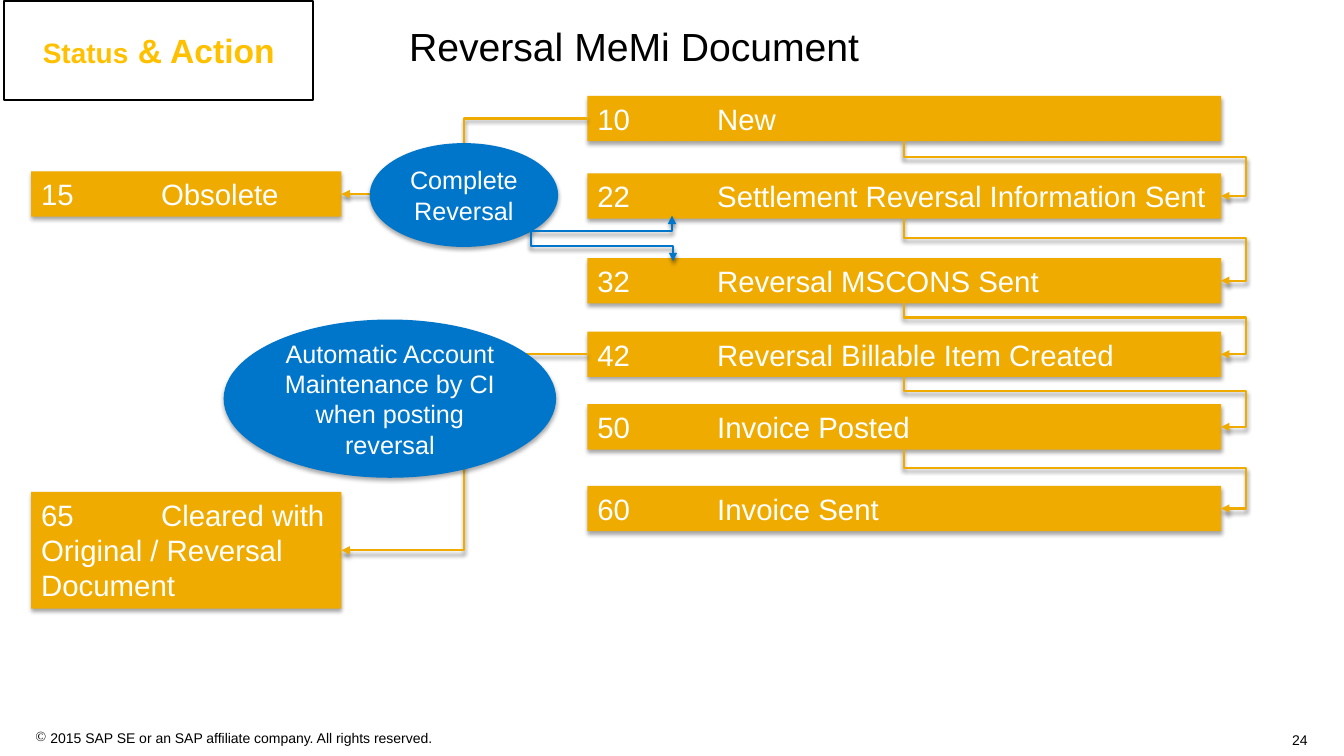
"""Builds the slide on the status flow of a reversal document."""
from lxml.etree import SubElement
from pptx import Presentation
from pptx.dml.color import RGBColor
from pptx.enum.shapes import MSO_CONNECTOR, MSO_SHAPE
from pptx.enum.text import MSO_ANCHOR, MSO_AUTO_SIZE, PP_ALIGN
from pptx.oxml.ns import qn
from pptx.util import Inches, Pt

HUES = {"gold": "F0AB00", "blue": "0076CB", "amber": "FFC000",
        "white": "FFFFFF", "black": "000000"}
TITLE = "Reversal MeMi Document"
BADGE = [("Status", 20), (" & Action", 24)]
STEPS = [
    (0.95, "10\tNew"),
    (1.72, "22\tSettlement Reversal Information Sent"),
    (2.56, "32\tReversal MSCONS Sent"),
    (3.29, "42\tReversal Billable Item Created"),
    (4.01, "50\tInvoice Posted"),
    (4.82, "60\tInvoice Sent"),
]
ENDS = [
    (1.7, 0.45, "15\tObsolete", 0),
    (4.88, 1.16, "65\tCleared with Original / Reversal Document", 3),
]
OVALS = [
    (2.22, 3.17, 3.3, 1.57, "Automatic Account Maintenance by CI when posting reversal"),
    (3.67, 1.42, 1.87, 1.03, "Complete Reversal"),
]
RIGHTS = "2015 SAP SE or an SAP affiliate company. All rights reserved."
PAGE = "24"

BAR_X, BAR_W, BAR_H = 5.83, 6.29, 0.45
END_X, END_W = 0.31, 3.08
LOOP = 0.25
TAB = 1.19

deck = Presentation()
deck.slide_width, deck.slide_height = Inches(13.34), Inches(7.5)
slide = deck.slides.add_slide(deck.slide_layouts[5])


def tone(name):
    return RGBColor.from_string(HUES[name])


def style(para, size, hue, align=PP_ALIGN.LEFT):
    para.alignment = align
    font = para.font
    font.name, font.color.rgb = "Arial", tone(hue)
    if size:
        font.size = Pt(size)


def cast(part, alpha, dist):
    props = part._element.spPr
    list_ = props.find(qn("a:effectLst"))
    if list_ is None:
        list_ = SubElement(props, qn("a:effectLst"))
    shade = SubElement(list_, qn("a:outerShdw"), blurRad=str(Pt(3)),
                       dist=str(Pt(dist)), dir="5400000", rotWithShape="0")
    ink = SubElement(shade, qn("a:srgbClr"), val=HUES["black"])
    SubElement(ink, qn("a:alpha"), val=str(alpha * 1000))


def block(kind, x, y, w, h, hue, pad):
    shape = slide.shapes.add_shape(kind, Inches(x), Inches(y), Inches(w), Inches(h))
    shape.shadow.inherit = False
    shape.fill.solid()
    shape.fill.fore_color.rgb = tone(hue)
    shape.line.fill.background()
    frame = shape.text_frame
    frame.word_wrap = True
    frame.margin_top = frame.margin_bottom = Inches(pad)
    return shape


def bar(x, y, w, h, text):
    shape = block(MSO_SHAPE.RECTANGLE, x, y, w, h, "gold", 0.05)
    cast(shape, 35, 2)
    frame = shape.text_frame
    frame.vertical_anchor = MSO_ANCHOR.TOP
    frame.text = text
    para = frame.paragraphs[0]
    tabs = SubElement(para._p.get_or_add_pPr(), qn("a:tabLst"))
    SubElement(tabs, qn("a:tab"), pos=str(Inches(TAB)), algn="l")
    style(para, 21, "white")


def bend(x1, y1, x2, y2, hue, kind=3, ratios=(), down=False):
    if down:
        cx, cy, w, h = (x1 + x2) / 2, (y1 + y2) / 2, y2 - y1, x2 - x1
        x1, y1, x2, y2 = cx + w / 2, cy - h / 2, cx - w / 2, cy + h / 2
    link = slide.shapes.add_connector(
        MSO_CONNECTOR.ELBOW, Inches(x1), Inches(y1), Inches(x2), Inches(y2))
    props = link._element.spPr
    if down:
        props.find(qn("a:xfrm")).set("rot", "16200000")
    geom = props.find(qn("a:prstGeom"))
    geom.set("prst", f"bentConnector{kind}")
    for i, ratio in enumerate(ratios, 1):
        SubElement(geom.find(qn("a:avLst")), qn("a:gd"), name=f"adj{i}",
                   fmla=f"val {round(ratio * 100000)}")
    link.line.color.rgb = tone(hue)
    link.line.width = Pt(1.5)
    SubElement(props.find(qn("a:ln")), qn("a:tailEnd"), type="triangle")
    cast(link, 45, 2.4)


def label(x, y, w, h, text):
    box = slide.shapes.add_textbox(Inches(x), Inches(y), Inches(w), Inches(h))
    frame = box.text_frame
    frame.margin_left = frame.margin_right = 0
    frame.margin_top = frame.margin_bottom = 0
    frame.text = text
    return frame


for y, text in STEPS:
    bar(BAR_X, y, BAR_W, BAR_H, text)
for y, h, text, step in ENDS:
    bar(END_X, y, END_W, h, text)
    bend(BAR_X, STEPS[step][0] + BAR_H / 2, END_X + END_W, y + h / 2, "gold")

mid = BAR_X + BAR_W / 2
for (y, _), (below, _) in zip(STEPS, STEPS[1:]):
    foot, goal = y + BAR_H, below + BAR_H / 2
    ratios = ((below - foot) / 2 / (goal - foot), 1 + LOOP / (BAR_W / 2))
    bend(mid, foot, BAR_X + BAR_W, goal, "gold", 4, ratios, down=True)

for x, y, w, h, text in OVALS:
    oval = block(MSO_SHAPE.OVAL, x, y, w, h, "blue", 0.08)
    cast(oval, 35, 2)
    oval.text_frame.vertical_anchor = MSO_ANCHOR.MIDDLE
    oval.text_frame.text = text
    style(oval.text_frame.paragraphs[0], 18, "white", PP_ALIGN.CENTER)

bend(5.25, 2.29, 6.67, 2.14, "blue", 2)
bend(5.27, 2.3, 6.68, 2.59, "blue", down=True)

badge = block(MSO_SHAPE.RECTANGLE, 0.04, 0.01, 3.07, 0.98, "white", 0.08)
badge.line.color.rgb = tone("black")
badge.line.width = Pt(1.5)
badge.text_frame.vertical_anchor = MSO_ANCHOR.MIDDLE
para = badge.text_frame.paragraphs[0]
style(para, None, "amber", PP_ALIGN.CENTER)
para.font.bold = True
for text, size in BADGE:
    run = para.add_run()
    run.text, run.font.size = text, Pt(size)

head = slide.shapes.title
head.left, head.top = Inches(4.06), Inches(0.22)
head.width, head.height = Inches(5.42), Inches(0.47)
frame = head.text_frame
frame.margin_left = frame.margin_right = frame.margin_top = frame.margin_bottom = 0
frame.auto_size = MSO_AUTO_SIZE.NONE
frame.vertical_anchor = MSO_ANCHOR.TOP
frame.text = TITLE
style(frame.paragraphs[0], 28, "black")

para = label(0.35, 7.24, 3.99, 0.17, RIGHTS).paragraphs[0]
props = para._p.get_or_add_pPr()
props.set("marL", str(Inches(0.15)))
props.set("indent", str(Inches(-0.15)))
SubElement(props, qn("a:buChar"), char="©")
style(para, 10, "black")
style(label(12.81, 7.26, 0.17, 0.17, PAGE).paragraphs[0], 10, "black", PP_ALIGN.RIGHT)

deck.save("out.pptx")
